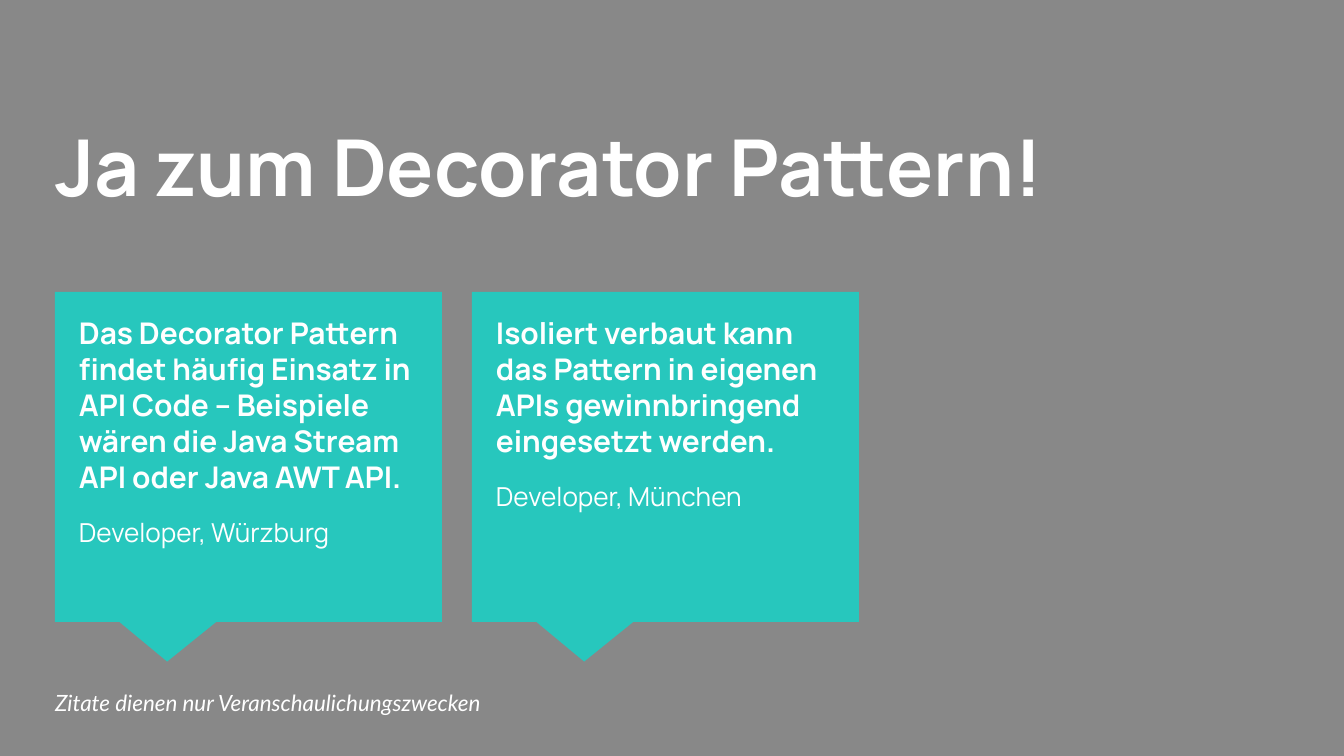
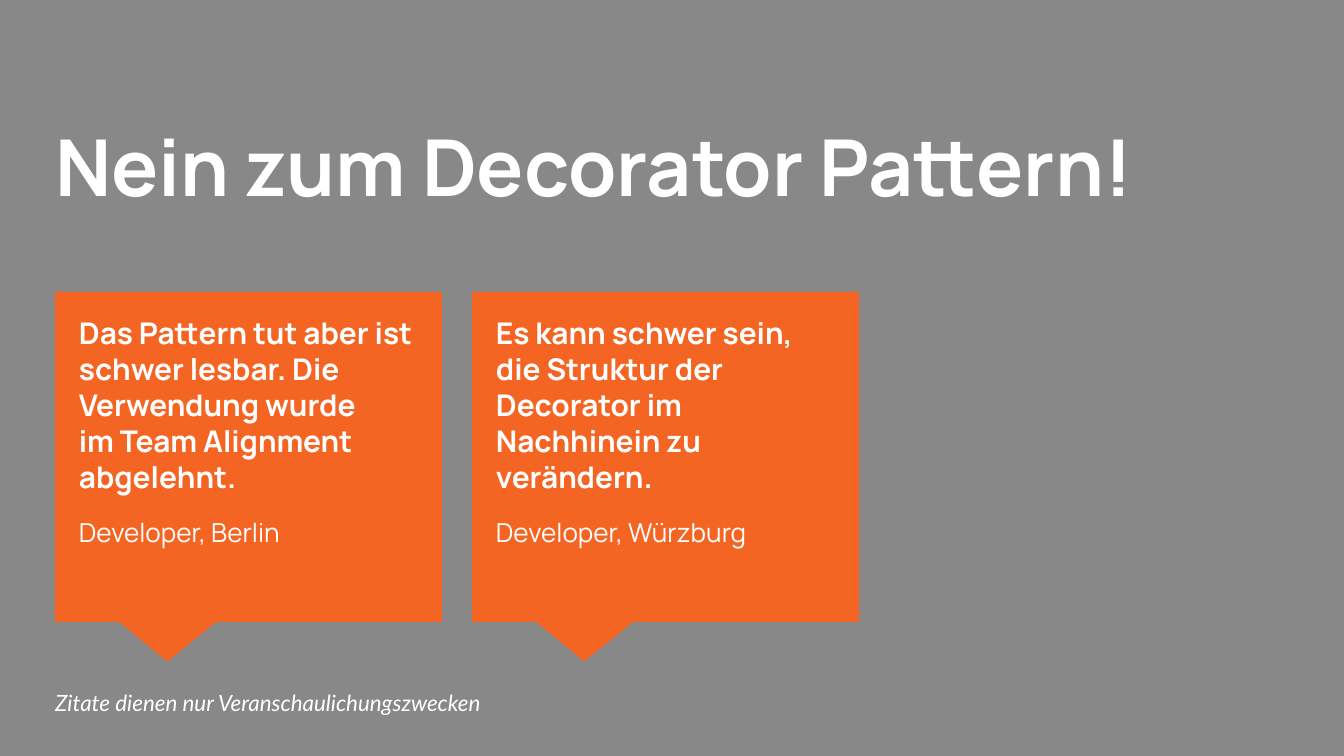
from dataclasses import dataclass

from pptx import Presentation
from pptx.dml.color import RGBColor
from pptx.enum.shapes import MSO_SHAPE
from pptx.enum.text import MSO_ANCHOR
from pptx.slide import Slide
from pptx.util import Emu, Pt

CALLOUT = MSO_SHAPE.RECTANGULAR_CALLOUT
TOP, MIDDLE = MSO_ANCHOR.TOP, MSO_ANCHOR.MIDDLE

SLIDE_W, SLIDE_H = 1344, 756
SCALE = 9144000 / SLIDE_W

GREY, WHITE, TEAL, ORANGE = "888888", "FFFFFF", "27C7BD", "F46524"
HEAD_FONT, NOTE_FONT = "Manrope", "Lato"
FOOTNOTE = "Zitate dienen nur Veranschaulichungszwecken"
INSET = 13

TITLE_BOX = (42, 105, 1267, 151)
FOOTNOTE_BOX = (42, 684, 918, 38)
CARD_X, CARD_Y, CARD_W, CARD_H, CARD_GAP = 55, 292, 387, 330, 30
QUOTE_DX, QUOTE_DY, QUOTE_H = 11, 10, 294
POINTER = (-0.21, 0.62)


@dataclass(frozen=True)
class Line:
    text: str
    size: int
    font: str = HEAD_FONT
    bold: bool = False
    italic: bool = False
    space: int = 0


@dataclass(frozen=True)
class Quote:
    text: str
    author: str


@dataclass(frozen=True)
class QuoteSlide:
    title: str
    color: str
    quotes: tuple[Quote, ...]


SLIDES = (
    QuoteSlide("Ja zum Decorator Pattern!", TEAL, (
        Quote("Das Decorator Pattern findet häufig Einsatz in API Code – "
              "Beispiele wären die Java Stream API oder Java AWT API.",
              "Developer, Würzburg"),
        Quote("Isoliert verbaut kann das Pattern in eigenen APIs "
              "gewinnbringend eingesetzt werden.",
              "Developer, München"),
    )),
    QuoteSlide("Nein zum Decorator Pattern!", ORANGE, (
        Quote("Das Pattern tut aber ist schwer lesbar. Die Verwendung wurde\n"
              "im Team Alignment abgelehnt.",
              "Developer, Berlin"),
        Quote("Es kann schwer sein, die Struktur der Decorator im Nachhinein "
              "zu verändern.",
              "Developer, Würzburg"),
    )),
)


def px(n: int) -> Emu:
    return Emu(round(n * SCALE))


def rgb(color: str) -> RGBColor:
    return RGBColor.from_string(color)


def add_text(s: Slide, box: tuple[int, int, int, int], lines: list[Line],
             anchor: MSO_ANCHOR = TOP) -> None:
    tf = s.shapes.add_textbox(*map(px, box)).text_frame
    tf.word_wrap = True
    tf.vertical_anchor = anchor
    tf.margin_left = tf.margin_right = px(INSET)
    tf.margin_top = tf.margin_bottom = px(INSET)
    for i, line in enumerate(lines):
        p = tf.paragraphs[0] if i == 0 else tf.add_paragraph()
        p.text = line.text
        if line.space:
            p.space_before = p.space_after = Pt(line.space)
        for r in p.runs:
            r.font.name = line.font
            r.font.size = Pt(line.size)
            r.font.bold = line.bold
            r.font.italic = line.italic
            r.font.color.rgb = rgb(WHITE)


def add_callout(s: Slide, x: int, color: str) -> None:
    sp = s.shapes.add_shape(CALLOUT, px(x), px(CARD_Y), px(CARD_W), px(CARD_H))
    sp.adjustments[0], sp.adjustments[1] = POINTER
    sp.shadow.inherit = False
    sp.fill.solid()
    sp.fill.fore_color.rgb = rgb(color)
    sp.line.fill.background()


def add_quote(s: Slide, x: int, quote: Quote) -> None:
    box = (x + QUOTE_DX, CARD_Y + QUOTE_DY, CARD_W - 2 * QUOTE_DX, QUOTE_H)
    add_text(s, box, [Line(quote.text, 16, bold=True),
                      Line(quote.author, 14, space=12)])


def add_quote_slide(prs: Presentation, content: QuoteSlide) -> None:
    s = prs.slides.add_slide(prs.slide_layouts[6])
    s.background.fill.solid()
    s.background.fill.fore_color.rgb = rgb(GREY)
    add_text(s, TITLE_BOX, [Line(content.title, 42, bold=True)])
    for i, quote in enumerate(content.quotes):
        x = CARD_X + i * (CARD_W + CARD_GAP)
        add_callout(s, x, content.color)
        add_quote(s, x, quote)
    add_text(s, FOOTNOTE_BOX, [Line(FOOTNOTE, 12, NOTE_FONT, italic=True)], MIDDLE)


def main() -> None:
    prs = Presentation()
    prs.slide_width, prs.slide_height = px(SLIDE_W), px(SLIDE_H)
    for content in SLIDES:
        add_quote_slide(prs, content)
    prs.save("out.pptx")


if __name__ == "__main__":
    main()
